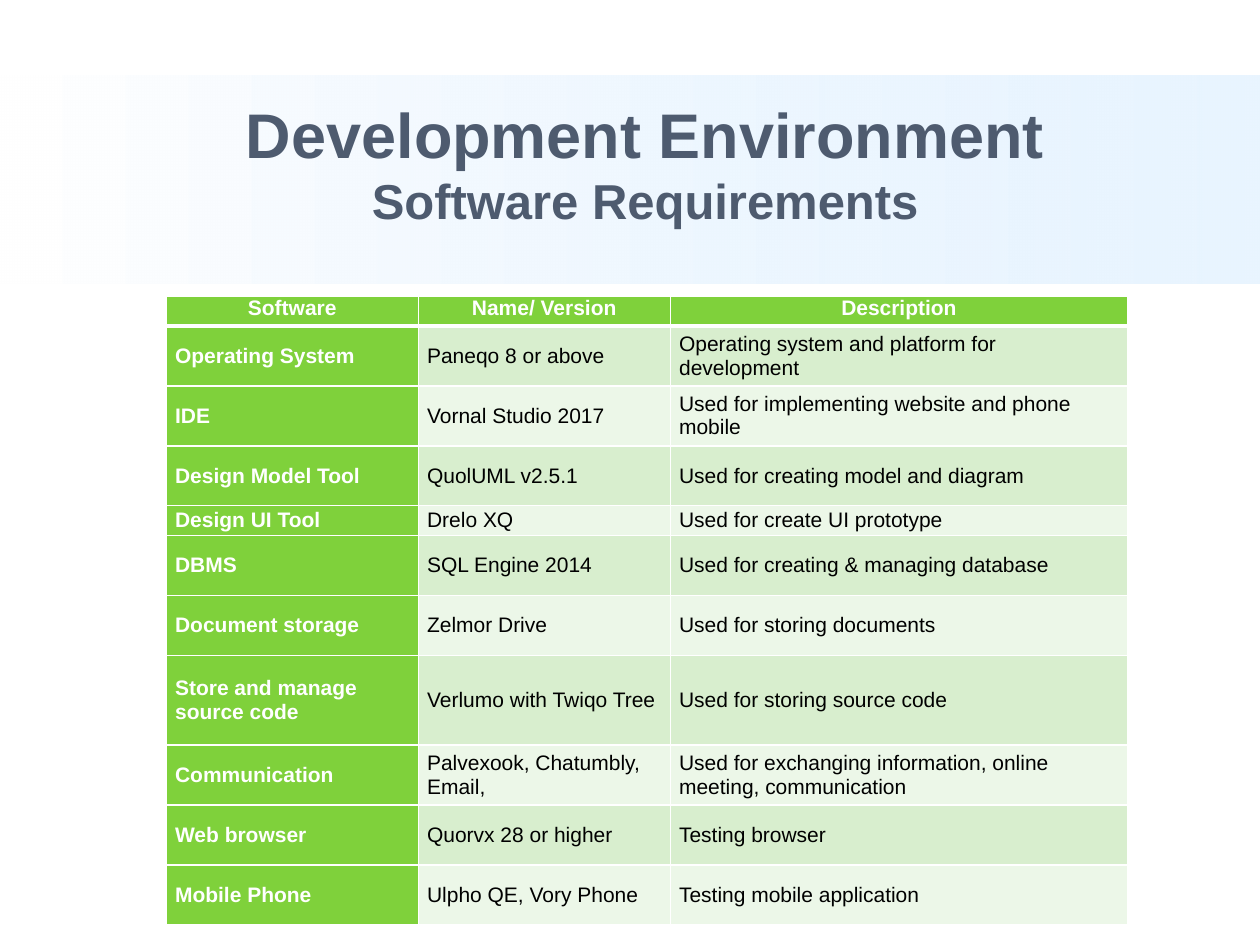
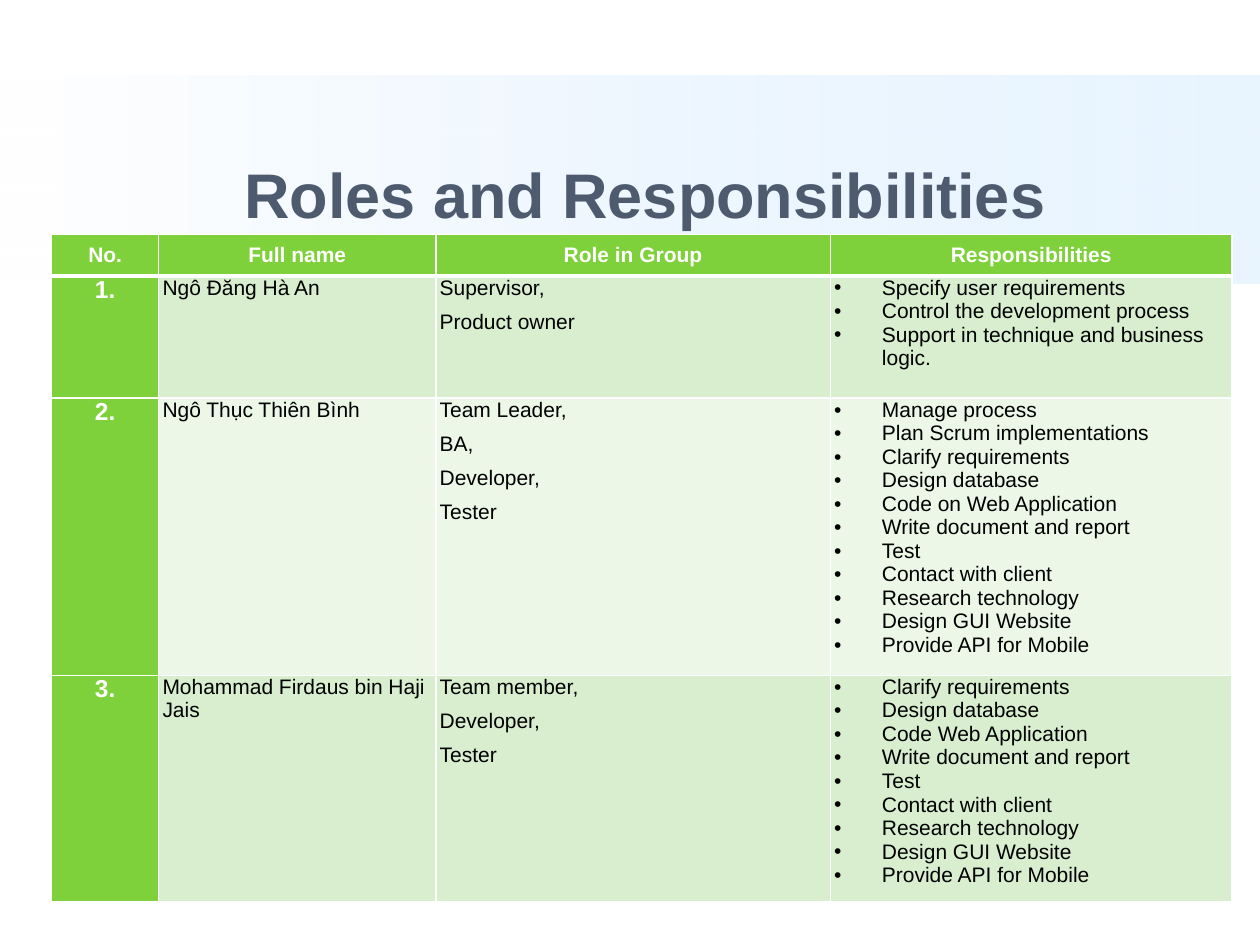
"""Build the software requirements and team roles slides."""
from lxml.etree import SubElement
from pptx import Presentation
from pptx.dml.color import RGBColor as RGB
from pptx.enum.shapes import MSO_SHAPE as SHAPE
from pptx.enum.text import MSO_ANCHOR as ANCHOR, PP_ALIGN as ALIGN
from pptx.oxml.ns import qn
from pptx.util import Inches, Pt

COLORS = {"white": "FFFFFF", "sky": "D6ECFF", "title": "4E5B6F", "green": "7FD13B",
          "band": "D8EECE", "pale": "ECF7E8", "black": "000000"}
FONT = "Arial"


def add_run(p, text, size, color, bold):
    r = p.add_run()
    r.text = text
    r.font.name, r.font.size, r.font.bold = FONT, Pt(size), bold
    r.font.color.rgb = RGB.from_string(COLORS[color])


def add_border(cell, side, width):
    ln = SubElement(cell._tc.get_or_add_tcPr(), qn(f"a:ln{side}"), w=str(Pt(width)))
    SubElement(SubElement(ln, qn("a:solidFill")), qn("a:srgbClr"), val=COLORS["white"])


software = [
    ["Software", "Name/ Version", "Description"],
    ["Operating System", "Paneqo 8 or above", "Operating system and platform for development"],
    ["IDE", "Vornal Studio 2017", "Used for implementing website and phone mobile"],
    ["Design Model Tool", "QuolUML v2.5.1", "Used for creating model and diagram"],
    ["Design UI Tool", "Drelo XQ", "Used for create UI prototype"],
    ["DBMS", "SQL Engine 2014", "Used for creating & managing database"],
    ["Document storage", "Zelmor Drive", "Used for storing documents"],
    ["Store and manage source code", "Verlumo with Twiqo Tree", "Used for storing source code"],
    ["Communication", "Palvexook, Chatumbly, Email,",
     "Used for exchanging information, online meeting, communication"],
    ["Web browser", "Quorvx 28 or higher", "Testing browser"],
    ["Mobile Phone", "Ulpho QE, Vory Phone", "Testing mobile application"],
]
shared_duties = ("Write document and report\nTest\nContact with client\nResearch technology\n"
                 "Design GUI Website\nProvide API for Mobile")
roles = [
    ["No.", "Full name", "Role in Group", "Responsibilities"],
    ["1.", "Ngô Đăng Hà An", "Supervisor,\nProduct owner",
     "Specify user requirements\nControl the development process\n"
     "Support in technique and business logic."],
    ["2.", "Ngô Thục Thiên Bình", "Team Leader,\nBA,\nDeveloper,\nTester",
     "Manage process\nPlan Scrum implementations\nClarify requirements\nDesign database\n"
     "Code on Web Application\n" + shared_duties],
    ["3.", "Mohammad Firdaus bin Haji Jais", "Team member,\nDeveloper,\nTester",
     "Clarify requirements\nDesign database\nCode Web Application\n" + shared_duties],
]
line_units = [1, 2, 2, 2, 1, 2, 2, 3, 2, 2, 2]
slides = [
    dict(title="Development Environment", subtitle="Software Requirements", rows=software,
         left=1.32, top=2.35, widths=[2, 2, 3.63], margin=0.07, key_size=12,
         heights=[4.99 * units / sum(line_units) for units in line_units],
         head_anchor=ANCHOR.TOP, body_anchor=ANCHOR.MIDDLE,
         aligns=[ALIGN.LEFT] * 3, space=0, bullet_col=None),
    dict(title="Roles and Responsibilities", subtitle=None, rows=roles,
         left=0.41, top=1.86, widths=[0.85, 2.2, 3.13, 3.19], margin=0.03, key_size=14,
         heights=[0.33, 0.97, 2.12, 1.66],
         head_anchor=ANCHOR.MIDDLE, body_anchor=ANCHOR.TOP,
         aligns=[ALIGN.CENTER, ALIGN.LEFT, ALIGN.JUSTIFY, ALIGN.LEFT], space=6, bullet_col=3),
]

prs = Presentation()
prs.slide_width, prs.slide_height = Inches(10), Inches(7.5)

for page in slides:
    s = prs.slides.add_slide(prs.slide_layouts[6])

    sp = s.shapes.add_shape(SHAPE.RECTANGLE, 0, Inches(0.6), Inches(10), Inches(1.65))
    sp.shadow.inherit = False
    sp.line.fill.background()
    sp.fill.gradient()
    sp.fill.gradient_angle = 0
    for stop, color in zip(sp.fill.gradient_stops, ("white", "sky")):
        stop.color.rgb = RGB.from_string(COLORS[color])
    sky = list(sp._element.spPr.iter(qn("a:srgbClr")))[-1]
    SubElement(sky, qn("a:alpha"), val="53000")

    tf = s.shapes.add_textbox(Inches(0.87), Inches(0.93), Inches(8.5), Inches(1.21)).text_frame
    tf.word_wrap = True
    tf.vertical_anchor = ANCHOR.MIDDLE
    p = tf.paragraphs[0]
    p.alignment = ALIGN.CENTER
    add_run(p, page["title"], 36, "title", True)
    if page["subtitle"]:
        tf.margin_bottom = Inches(0.54)
        p.add_line_break()
        add_run(p, page["subtitle"], 28, "title", True)

    rows, widths, heights = page["rows"], page["widths"], page["heights"]
    table = s.shapes.add_table(len(rows), len(widths), Inches(page["left"]), Inches(page["top"]),
                               Inches(sum(widths)), Inches(sum(heights))).table
    for col, width in zip(table.columns, widths):
        col.width = Inches(width)
    for row, height in zip(table.rows, heights):
        row.height = Inches(height)

    for i, row in enumerate(rows):
        for j, text in enumerate(row):
            cell = table.cell(i, j)
            head, key = i == 0, j == 0
            for side, width in (("L", 1), ("R", 1), ("T", 3 if i == 1 else 1), ("B", 3 if head else 1)):
                add_border(cell, side, width)
            cell.fill.solid()
            fill = "green" if head or key else "band" if i % 2 else "pale"
            cell.fill.fore_color.rgb = RGB.from_string(COLORS[fill])
            cell.margin_left = cell.margin_right = Inches(page["margin"])
            cell.margin_top = cell.margin_bottom = 0
            cell.vertical_anchor = page["head_anchor"] if head else page["body_anchor"]

            for n, line in enumerate(text.split("\n")):
                tf = cell.text_frame
                p = tf.add_paragraph() if n else tf.paragraphs[0]
                p.alignment = ALIGN.CENTER if head else page["aligns"][j]
                if not head and j == page["bullet_col"]:
                    pPr = p._p.get_or_add_pPr()
                    pPr.set("marL", str(Inches(0.38)))
                    pPr.set("indent", str(-Inches(0.38)))
                    SubElement(pPr, qn("a:buFont"), typeface=FONT)
                    SubElement(pPr, qn("a:buChar"), char="•")
                elif not head:
                    p.space_before = Pt(page["space"])
                size = page["key_size"] if key and not head else 12
                add_run(p, line, size, "white" if head or key else "black", head or key)
                SubElement(p._p, qn("a:endParaRPr"), sz=str(size * 100))

prs.save("out.pptx")
